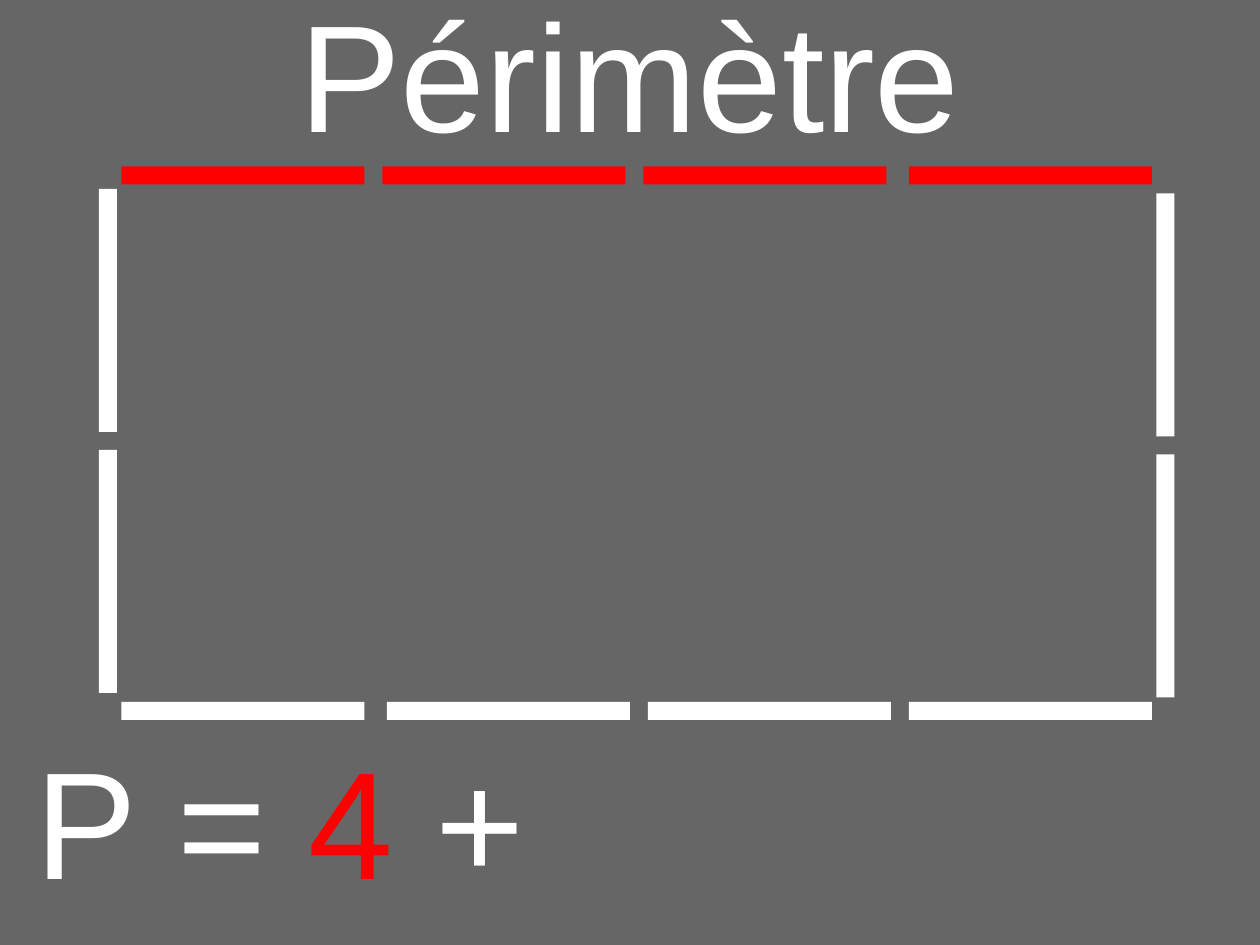
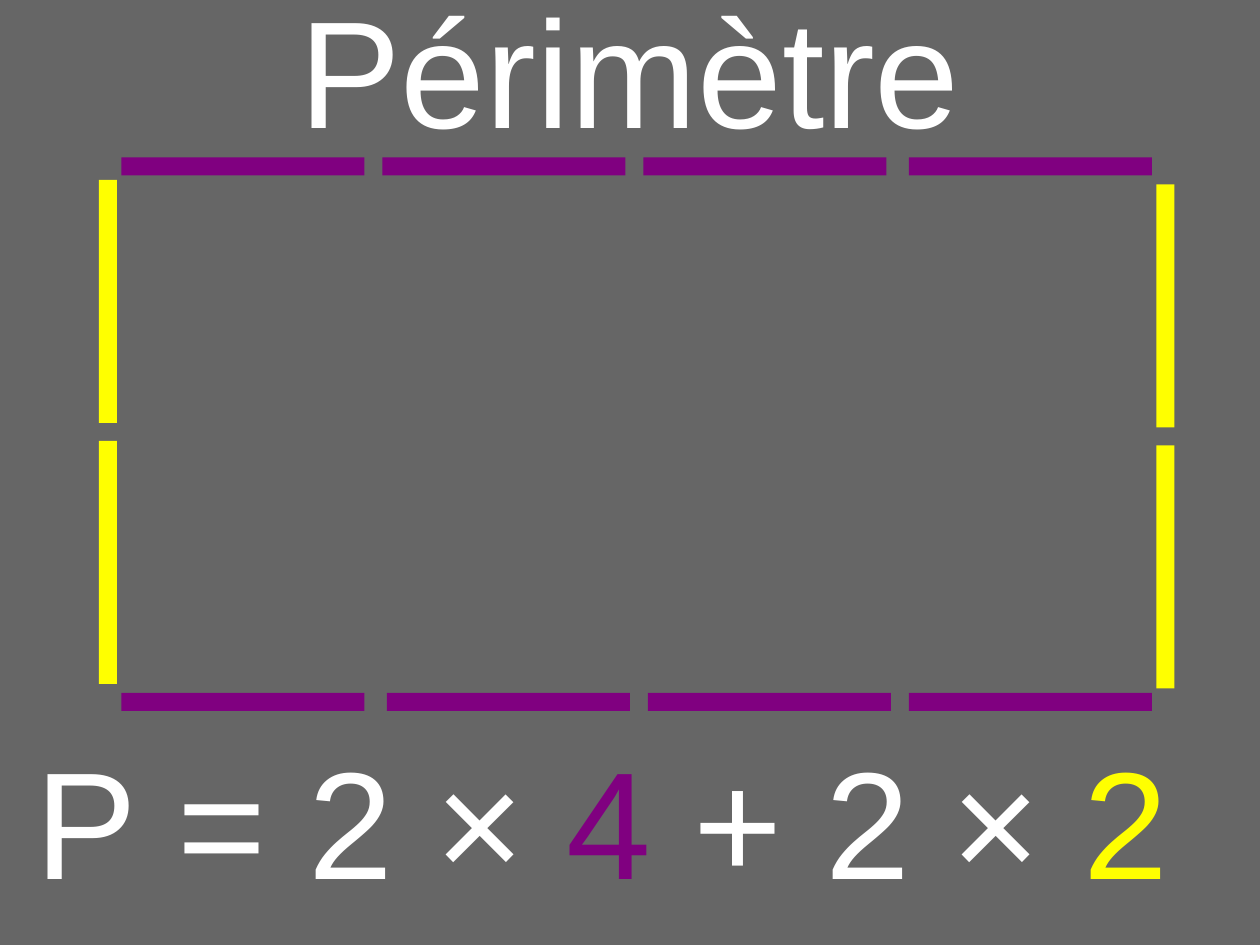
"""Build two slides on the perimeter of a rectangle made of sticks."""
from pptx import Presentation
from pptx.dml.color import RGBColor
from pptx.enum import shapes as sh, text as tx
from pptx.util import Cm, Pt

GREY = RGBColor(0x66, 0x66, 0x66)
WHITE = RGBColor(0xFF, 0xFF, 0xFF)
RED = RGBColor(0xFF, 0x00, 0x00)
PURPLE = RGBColor(0x80, 0x00, 0x80)
YELLOW = RGBColor(0xFF, 0xFF, 0x00)

LONG, THICK = 5.4, 0.4
TOP_XS = (2.7, 8.5, 14.3, 20.2)
LOW_XS = (2.7, 8.6, 14.4, 20.2)
LEFT_YS = (4.2, 10)
RIGHT_YS = (4.3, 10.1)


def write(box, runs, align):
    frame = box.text_frame
    frame.word_wrap = True
    frame.auto_size = tx.MSO_AUTO_SIZE.NONE
    frame.vertical_anchor = tx.MSO_ANCHOR.MIDDLE
    frame.margin_left = frame.margin_right = 0
    frame.margin_top = frame.margin_bottom = 0
    para = frame.paragraphs[0]
    para.alignment = align
    para.font.name = "Arial"
    para.font.size = Pt(96)
    para.font.color.rgb = WHITE
    for words, color in runs:
        run = para.add_run()
        run.text = words
        if color != WHITE:
            run.font.color.rgb = color


def add_title(slide, top):
    title = slide.shapes.title
    title.left, title.top = Cm(5.98), Cm(top)
    title.width, title.height = Cm(16.03), Cm(4.4)
    write(title, [("Périmètre", WHITE)], tx.PP_ALIGN.CENTER)


def add_stick(slide, x, y, wide, high, color):
    stick = slide.shapes.add_shape(
        sh.MSO_SHAPE.RECTANGLE, Cm(x), Cm(y), Cm(wide), Cm(high))
    stick.shadow.inherit = False
    stick.fill.solid()
    stick.fill.fore_color.rgb = color
    stick.line.fill.background()


def add_frame(slide, lift, top, low, side):
    for xs, y, color in ((TOP_XS, 3.7, top), (LOW_XS, 15.6, low)):
        for x in xs:
            add_stick(slide, x, y - lift, LONG, THICK, color)
    for x, ys in ((2.2, LEFT_YS), (25.7, RIGHT_YS)):
        for y in ys:
            add_stick(slide, x, y - lift, THICK, LONG, side)


def add_sum(slide, wide, runs):
    box = slide.shapes.add_textbox(Cm(0.8), Cm(16), Cm(wide), Cm(4.4))
    write(box, runs, tx.PP_ALIGN.LEFT)


def main():
    deck = Presentation()
    deck.slide_width, deck.slide_height = Cm(28), Cm(21)
    back = deck.slide_master.background.fill
    back.solid()
    back.fore_color.rgb = GREY
    layout = deck.slide_layouts.get_by_name("Title Only")

    slide = deck.slides.add_slide(layout)
    add_title(slide, -0.6)
    add_frame(slide, 0, RED, WHITE, WHITE)
    add_sum(slide, 16.03, [("P = ", WHITE), ("4", RED), (" +", WHITE)])

    slide = deck.slides.add_slide(layout)
    add_title(slide, -0.7)
    add_frame(slide, 0.2, PURPLE, PURPLE, YELLOW)
    add_sum(slide, 26.6, [("P = 2 × ", WHITE), ("4", PURPLE),
                          (" + 2 × ", WHITE), ("2", YELLOW)])
    deck.save("out.pptx")


if __name__ == "__main__":
    main()
